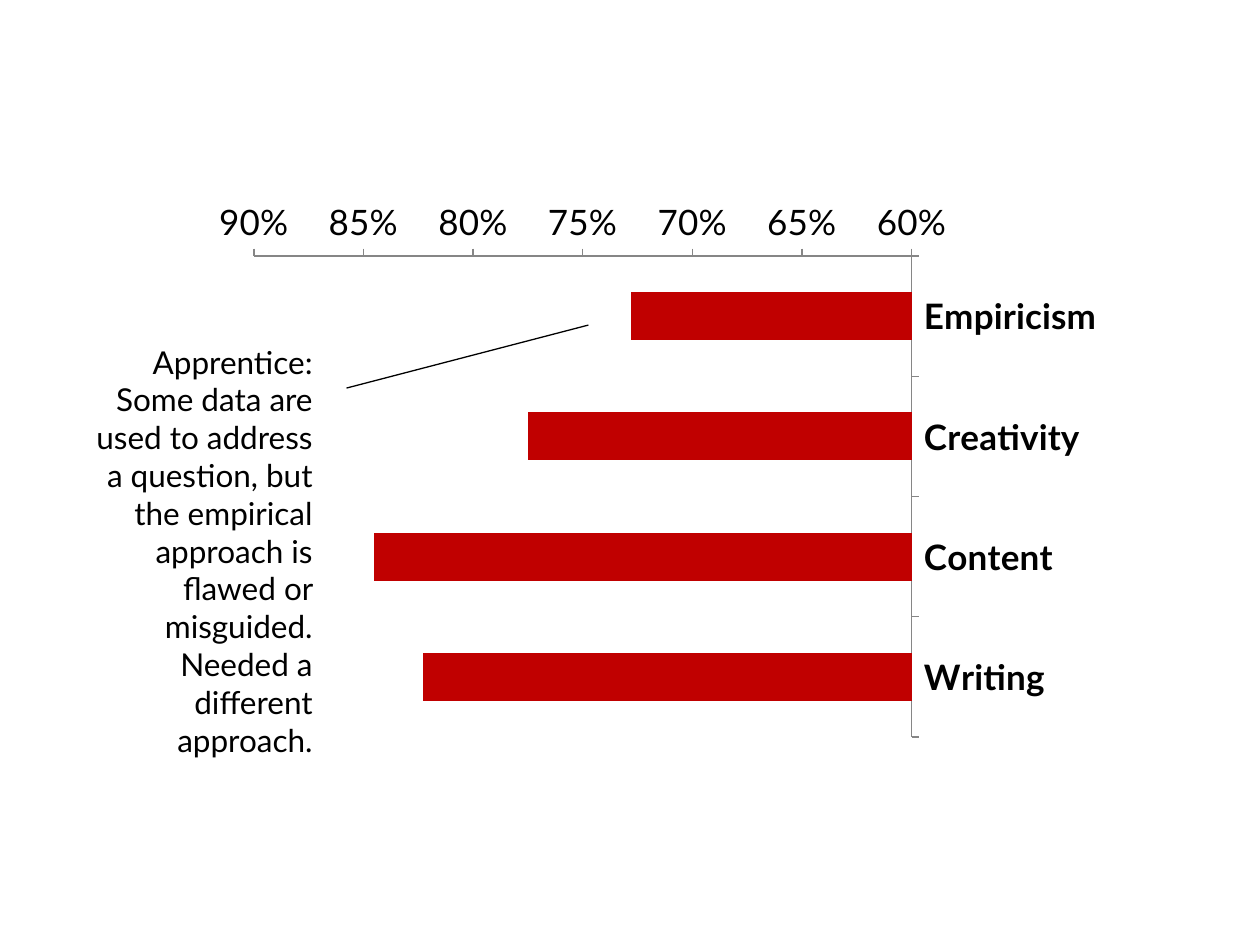
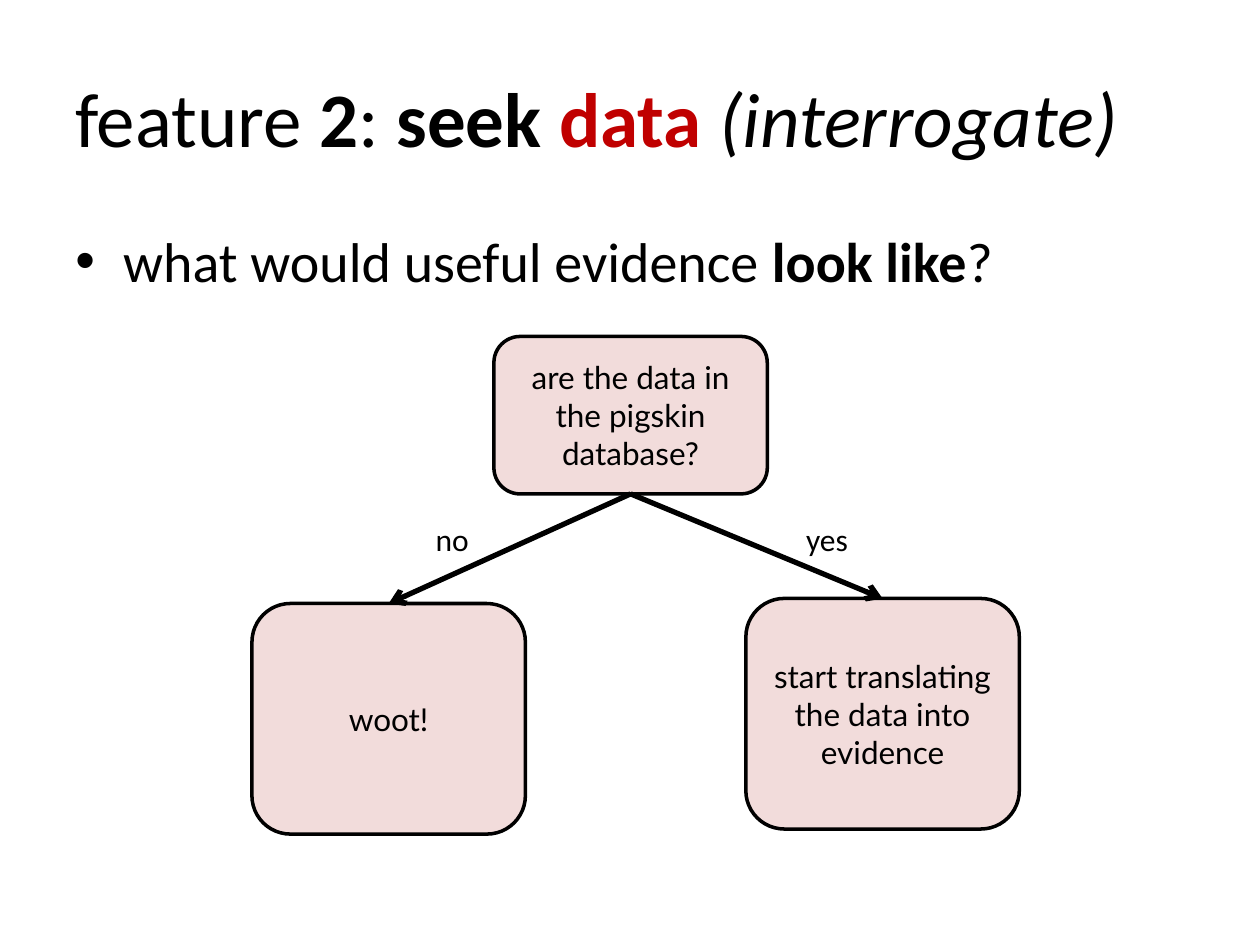
import pptx
import pptx.chart.data
import pptx.dml.color
import pptx.enum.chart
import pptx.enum.shapes
import pptx.enum.text
import pptx.oxml.ns
import pptx.util
from lxml import etree

HUES = {"ink": "000000", "red": "C00000", "pink": "F2DCDB", "axis": "868686"}
HEAD, BODY = "Calibri", "Lato"
ALIGN = pptx.enum.text.PP_ALIGN
MID = pptx.enum.text.MSO_ANCHOR.MIDDLE


def hue(name):
    """Return the named colour."""
    return pptx.dml.color.RGBColor.from_string(HUES[name])


def inch(*nums):
    """Turn numbers into lengths in inches."""
    return [pptx.util.Inches(num) for num in nums]


def child(node, tag, **atts):
    """Append an XML child with a prefixed tag."""
    return etree.SubElement(node, pptx.oxml.ns.qn(tag), atts)


def style(font, face, size, color="ink", bold=False, slant=False):
    """Set the look of a font."""
    font.name, font.size = face, pptx.util.Pt(size)
    font.bold, font.italic = bold, slant
    font.color.rgb = hue(color)


def write(para, runs, face, size):
    """Add runs given as text and style pairs."""
    for text, look in runs:
        run = para.add_run()
        run.text = text
        style(run.font, face, size, **look)


def label(slide, box, runs, face, size, wrap=True):
    """Add a text box and return its text frame."""
    frame = slide.shapes.add_textbox(*inch(*box)).text_frame
    frame.word_wrap = wrap
    write(frame.paragraphs[0], runs, face, size)
    return frame


def link(slide, start, end, width):
    """Draw a plain black line between two points."""
    kind = pptx.enum.shapes.MSO_CONNECTOR.STRAIGHT
    line = slide.shapes.add_connector(kind, *inch(*start, *end))
    line.line.color.rgb = hue("ink")
    line.line.width = pptx.util.Pt(width)
    child(line._element.spPr, "a:effectLst")
    return line


def arrow(slide, top, low):
    """Join the bottom of one node to the top of another."""
    line = link(slide, (0, 0), (1, 1), 3)
    line.begin_connect(top, 2)
    line.end_connect(low, 0)
    child(line.line._get_or_add_ln(), "a:tailEnd", type="arrow")


def node(slide, box, text):
    """Add a rounded pink box with centred text."""
    kind = pptx.enum.shapes.MSO_SHAPE.ROUNDED_RECTANGLE
    shape = slide.shapes.add_shape(kind, *inch(*box))
    shape.shadow.inherit = False
    shape.fill.solid()
    shape.fill.fore_color.rgb = hue("pink")
    shape.line.color.rgb = hue("ink")
    shape.line.width = pptx.util.Pt(2)
    frame = shape.text_frame
    frame.word_wrap, frame.vertical_anchor = True, MID
    para = frame.paragraphs[0]
    para.alignment = ALIGN.CENTER
    write(para, [(text, {})], BODY, 18)
    return shape


def place(chart, **parts):
    """Fix the inner plot area as shares of the chart."""
    plot = chart._chartSpace.chart.plotArea
    for old in plot.findall(pptx.oxml.ns.qn("c:layout")):
        plot.remove(old)
    outer = child(plot, "c:layout")
    plot.insert(0, outer)
    inner = child(outer, "c:manualLayout")
    child(inner, "c:layoutTarget", val="inner")
    for key in "xy":
        child(inner, f"c:{key}Mode", val="edge")
    for key, share in parts.items():
        child(inner, f"c:{key}", val=str(share))


def bars(slide, box):
    """Add the bar chart of scores, growing from right to left."""
    data = pptx.chart.data.CategoryChartData(number_format="0%")
    data.categories = ["Empiricism", "Creativity", "Content", "Writing"]
    data.add_series("Series 1", [0.728, 0.775, 0.845, 0.823])
    kind = pptx.enum.chart.XL_CHART_TYPE.BAR_CLUSTERED
    chart = slide.shapes.add_chart(kind, *inch(*box), data).chart
    chart.has_legend = chart.has_title = False
    style(chart.font, BODY, 20)
    plot = chart.plots[0]
    plot.gap_width, plot.vary_by_categories = 150, False
    fill = plot.series[0].format.fill
    fill.solid()
    fill.fore_color.rgb = hue("red")
    cats, vals = chart.category_axis, chart.value_axis
    for axis in (cats, vals):
        axis.reverse_order = True
        axis.has_major_gridlines = False
        axis.major_tick_mark = pptx.enum.chart.XL_TICK_MARK.OUTSIDE
        axis.format.line.color.rgb = hue("axis")
        style(axis.tick_labels.font, BODY, 20, bold=axis is cats)
    vals.minimum_scale, vals.maximum_scale, vals.major_unit = 0.6, 0.9, 0.05
    vals.tick_labels.number_format = "0%"
    vals.tick_labels.number_format_is_linked = False
    place(chart, x=0.06, y=0.12, w=0.72, h=0.86)


def note(slide, box):
    """Add the right-aligned remark with its pointer."""
    para = label(slide, box, [("Apprentice:", {})], BODY, 18).paragraphs[0]
    para.alignment = ALIGN.RIGHT
    para.add_line_break()
    text = ("Some data are used to address a question, but the empirical "
            "approach is flawed or misguided. Needed a different approach.")
    write(para, [(text, {})], BODY, 18)
    left, top, wide, _ = box
    edge = left + wide
    link(slide, (edge + 2.09, top - 0.09), (edge + 0.17, top + 0.41), 0.75)


def title(slide, box, runs):
    """Add a slide title."""
    label(slide, box, runs, HEAD, 44).vertical_anchor = MID


def point(slide, box, runs):
    """Add one bulleted line."""
    para = label(slide, box, runs, HEAD, 32).paragraphs[0]
    props = para._p.get_or_add_pPr()
    hang = pptx.util.Inches(0.38)
    props.set("marL", str(hang))
    props.set("indent", str(-hang))
    child(props, "a:buFont", typeface="Arial")
    child(props, "a:buChar", char="•")


def tree(slide, box):
    """Add the question with its two answers."""
    left, top, wide, high = box
    span, tall, deep = 2.17, 1.25, 1.83
    ask = node(slide, (left + 1.92, top, span, tall),
               "are the data in the pigskin database?")
    low = top + high - deep
    no = node(slide, (left, low, span, deep), "woot!")
    yes = node(slide, (left + wide - span, low - 0.04, span, deep),
               "start translating the data into evidence")
    for end, text, shift, size in ((no, "no", 1.36, 0.47), (yes, "yes", 4.3, 0.54)):
        arrow(slide, ask, end)
        spot = (left + shift, top + 1.41, size, 0.4)
        label(slide, spot, [(text, {})], HEAD, 18, wrap=False)


def main():
    """Build both slides and save them."""
    deck = pptx.Presentation()
    deck.slide_width, deck.slide_height = inch(10, 7.5)
    blank = deck.slide_layouts[6]
    score = deck.slides.add_slide(blank)
    bars(score, (1.58, 1.5, 7.25, 4.44))
    note(score, (0.5, 2.67, 2.08, 3.43))

    seek = deck.slides.add_slide(blank)
    bold = {"bold": True}
    title(seek, (0.5, 0.3, 9, 1.25), [
        ("feature ", {}), ("2", bold), (": ", {}), ("seek ", bold),
        ("data ", {"bold": True, "color": "red"}),
        ("(interrogate)", {"slant": True})])
    point(seek, (0.5, 1.75, 9, 4.95), [
        ("what would useful evidence ", {}), ("look like", bold), ("?", {})])
    tree(seek, (2, 2.67, 6.09, 3.95))
    deck.save("out.pptx")


if __name__ == "__main__":
    main()
